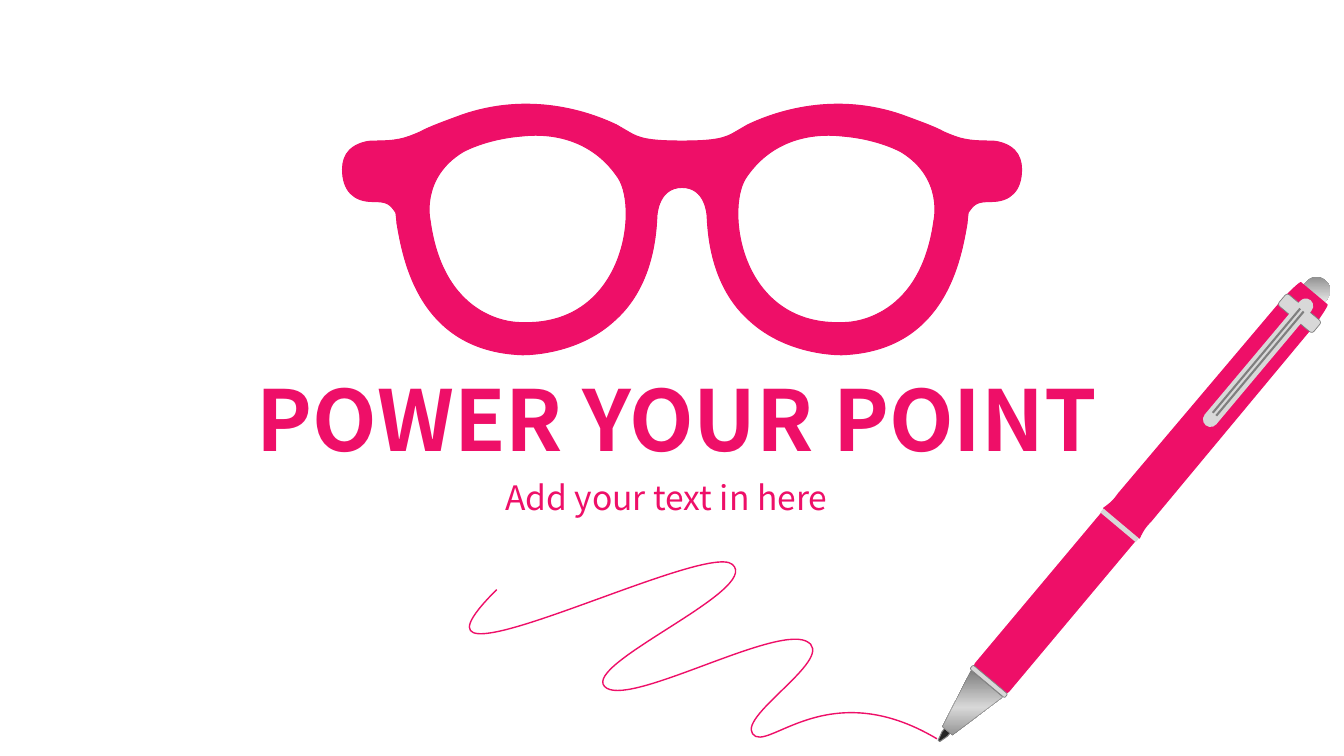
import copy
import math

import pptx
import pptx.util
from pptx.dml.color import RGBColor
from pptx.enum.shapes import MSO_CONNECTOR, MSO_SHAPE
from pptx.enum.text import MSO_ANCHOR, MSO_AUTO_SIZE, PP_ALIGN
from pptx.oxml import parse_xml
from pptx.oxml.ns import nsdecls, qn

# The slide is a grid of 1334 columns and 750 rows; all lengths are in grid units
COLUMNS, ROWS = 1334, 750
SLIDE_WIDTH = pptx.util.Inches(13.34)
UNIT = SLIDE_WIDTH / COLUMNS
FONT = "Noto Sans CJK SC"
COLORS = {"pink": "EE0F68", "white": "FFFFFF", "silver": "D8D8D8",
          "gray": "7F7F7F", "dark": "262626"}


def grid(value):
    return pptx.util.Emu(round(value * UNIT))


def color(name):
    return RGBColor.from_string(COLORS[name])


def format_shape(shape, fill=None, line=None, width=1):
    """Fill with one colour name, or with an upright gradient of several."""
    shape.shadow.inherit = False
    if fill is None:
        shape.fill.background()
    elif isinstance(fill, str):
        shape.fill.solid()
        shape.fill.fore_color.rgb = color(fill)
    else:
        shape.fill.gradient()
        shape.fill.gradient_angle = 270
        gradient = shape._element.spPr.find(qn("a:gradFill"))
        gradient.set("rotWithShape", "0")
        stop_list = gradient.find(qn("a:gsLst"))
        while len(stop_list) < len(fill):
            stop_list.append(copy.deepcopy(stop_list[0]))
        for index, (stop, name) in enumerate(zip(shape.fill.gradient_stops, fill)):
            stop.color.rgb = color(name)
            stop.position = index / (len(fill) - 1)
    if line is None:
        shape.line.fill.background()
    else:
        shape.line.color.rgb = color(line)
        shape.line.width = pptx.util.Pt(width)


def write_text(shape, text, box, size, bold=False, align=PP_ALIGN.LEFT):
    shape.left, shape.top, shape.width, shape.height = map(grid, box)
    frame = shape.text_frame
    frame.word_wrap = True
    frame.auto_size = MSO_AUTO_SIZE.SHAPE_TO_FIT_TEXT
    frame.vertical_anchor = MSO_ANCHOR.MIDDLE
    paragraph = frame.paragraphs[0]
    paragraph.text = text
    paragraph.alignment = align
    paragraph.line_spacing = 1.0
    paragraph.space_before = pptx.util.Pt(0)
    font = paragraph.font
    font.name, font.size, font.bold = FONT, pptx.util.Pt(size), bold
    font.color.rgb = color("pink")


def curve_extent(contours, axis):
    """Lowest and highest value that the chained cubic curves reach on an axis."""
    values = []
    for points in contours:
        for start in range(0, len(points) - 1, 3):
            for t in (step / 40 for step in range(41)):
                values.append(sum(math.comb(3, k) * t ** k * (1 - t) ** (3 - k) * point[axis]
                                  for k, point in enumerate(points[start:start + 4])))
    return grid(min(values)), grid(max(values))


def bend(shape, contours):
    """Join each three line segments into a cubic curve and fit the frame to it."""
    outline = shape._element.spPr.find(".//" + qn("a:path"))
    segments = outline.findall(qn("a:lnTo"))
    for first, second, third in zip(*[iter(segments)] * 3):
        cubic = parse_xml(f"<a:cubicBezTo {nsdecls('a')}/>")
        first.addprevious(cubic)
        for segment in (first, second, third):
            cubic.append(segment[0])
            outline.remove(segment)
    (left, right), (top, bottom) = (curve_extent(contours, axis) for axis in (0, 1))
    for point in outline.iter(qn("a:pt")):
        point.set("x", str(int(point.get("x")) + shape.left - left))
        point.set("y", str(int(point.get("y")) + shape.top - top))
    outline.set("w", str(right - left))
    outline.set("h", str(bottom - top))
    shape.left, shape.top = left, top
    shape.width, shape.height = right - left, bottom - top


def add_outline(shapes, contours, closed=True, curved=True, **style):
    """Curved contours hold a start point, then three points for each curve."""
    builder = None
    for contour in contours:
        points = [(grid(x), grid(y)) for x, y in contour]
        if builder is None:
            builder = shapes.build_freeform(*points[0])
        else:
            builder.move_to(*points[0])
        builder.add_line_segments(points[1:], close=closed)
    shape = builder.convert_to_shape()
    if curved:
        bend(shape, contours)
    format_shape(shape, **style)
    return shape


def add_glasses(slide, center, top):
    # Right half, measured from the top of the centre line
    half_frame = [
        (0, 51), (34, 51), (43, 48), (53, 42), (53, 42), (65, 35), (65, 35),
        (84, 26), (145, 0), (218, 25), (237, 32), (251, 37), (260, 42),
        (276, 49), (283, 51), (307, 51), (312, 51), (323, 53), (330, 60),
        (335, 65), (337, 72), (337, 79), (337, 100), (326, 111), (307, 111),
        (293, 111), (290, 113), (284, 122), (284, 123), (283, 129), (283, 132),
        (277, 167), (262, 259), (159, 263), (157, 263), (105, 264), (67, 229),
        (41, 206), (27, 171), (25, 127), (25, 123), (23, 97), (0, 97)]
    lens = [
        (161, 231), (58, 236), (43, 120), (63, 88), (86, 53), (123, 42), (159, 46),
        (196, 49), (218, 62), (218, 62), (260, 88), (250, 130), (250, 130),
        (236, 233), (161, 231), (161, 231)]

    def mirror(points):
        return [(-x, y) for x, y in points]

    frame = half_frame + mirror(half_frame)[::-1][1:]
    contours = [[(center + x, top + y) for x, y in points]
                for points in (frame, lens, mirror(lens))]
    add_outline(slide.shapes, contours, fill="pink", line="pink", width=0.75)


def add_scribble(slide, left, top):
    points = [(27, 28), (-95, 149), (233, -22), (261, 3), (290, 28), (113, 101),
              (134, 124), (155, 147), (300, 64), (334, 79), (367, 94), (267, 152),
              (281, 171), (295, 191), (355, 111), (464, 176)]
    add_outline(slide.shapes, [[(left + x, top + y) for x, y in points]],
                closed=False, line="pink")


def add_pen(slide, tip_x, tip_y, angle=310):
    shapes = slide.shapes.add_group_shape().shapes
    cosine, sine = math.cos(math.radians(angle)), math.sin(math.radians(angle))

    def on_pen(along, across):
        """Point at a distance along the pen from its tip, and across its axis."""
        return (tip_x + along * cosine - across * sine,
                tip_y + along * sine + across * cosine)

    def add_bar(along, across, length, thickness, rounding=None, **style):
        x, y = on_pen(along, across)
        kind = MSO_SHAPE.RECTANGLE if rounding is None else MSO_SHAPE.ROUNDED_RECTANGLE
        bar = shapes.add_shape(kind, grid(x - length / 2), grid(y - thickness / 2),
                               grid(length), grid(thickness))
        bar.rotation = angle
        if rounding is not None:
            bar.adjustments[0] = rounding
        format_shape(bar, **style)

    def add_profile(half, upright=False, curved=False, **style):
        """Mirror half a profile on the pen's axis; upright ones turn 90 degrees less."""
        other = [(along, -across) for along, across in reversed(half)]
        joint = [half[-1], other[0]] if curved else []
        middle = (half[0][0] + half[-1][0]) / 2
        x, y = on_pen(middle, 0)
        points = [(along - middle, across) for along, across in half + joint + other]
        if upright:
            points = [(across, along) for along, across in points]
        profile = add_outline(shapes, [[(x + dx, y + dy) for dx, dy in points]],
                              curved=curved, **style)
        profile.rotation = angle - 90 if upright else angle

    # Push button, nib, grip and cone
    add_bar(559, 0, 75, 27, 0.5, fill=("gray", "white", "gray"))
    add_profile([(0, 1), (9, 3.5), (30, 3.5)], upright=True,
                fill="dark", line="gray", width=0.75)
    add_bar(180, 0, 206, 46, 0.11, fill="pink", line="white")
    add_profile([(13, 6.5), (74, 20.5)], upright=True,
                fill=("gray", "silver", "gray"), line="gray", width=0.25)

    # Barrel and rings
    add_profile([(282, 23), (286, 22), (292, 20), (302, 21), (302, 21), (553, 20),
                 (553, 20), (562, 20), (578, 18), (579, 17)],
                curved=True, fill="pink", line="pink")
    add_bar(279, 0, 5, 46, fill="silver")
    add_bar(77, 0, 5, 45, 0.3, fill="silver", line="gray", width=0.5)

    # Clip with its two grooves
    add_bar(555, 1.5, 15, 45, 0.2, fill="silver", line="gray", width=0.5)
    add_bar(491, 1.5, 162, 15, 0.5, fill="silver")
    for across in (3.5, -1):
        ends = on_pen(424, across) + on_pen(559, across)
        groove = shapes.add_connector(MSO_CONNECTOR.STRAIGHT, *map(grid, ends))
        groove.line.color.rgb = color("gray")
        groove.line.width = pptx.util.Pt(1.5)
        groove._element.spPr.append(parse_xml(f"<a:effectLst {nsdecls('a')}/>"))


def main():
    presentation = pptx.Presentation()
    presentation.slide_width, presentation.slide_height = SLIDE_WIDTH, grid(ROWS)
    slide = presentation.slides.add_slide(presentation.slide_layouts[5])
    write_text(slide.shapes.title, "POWER YOUR POINT", (245, 360, 960, 110), 60, bold=True)
    write_text(slide.shapes.add_textbox(0, 0, 0, 0), "Add your text in here",
               (283, 468, 757, 50), 24, align=PP_ALIGN.CENTER)
    add_glasses(slide, center=677, top=89)
    add_scribble(slide, left=466, top=557)
    add_pen(slide, tip_x=932, tip_y=735)
    presentation.save("out.pptx")


if __name__ == "__main__":
    main()
